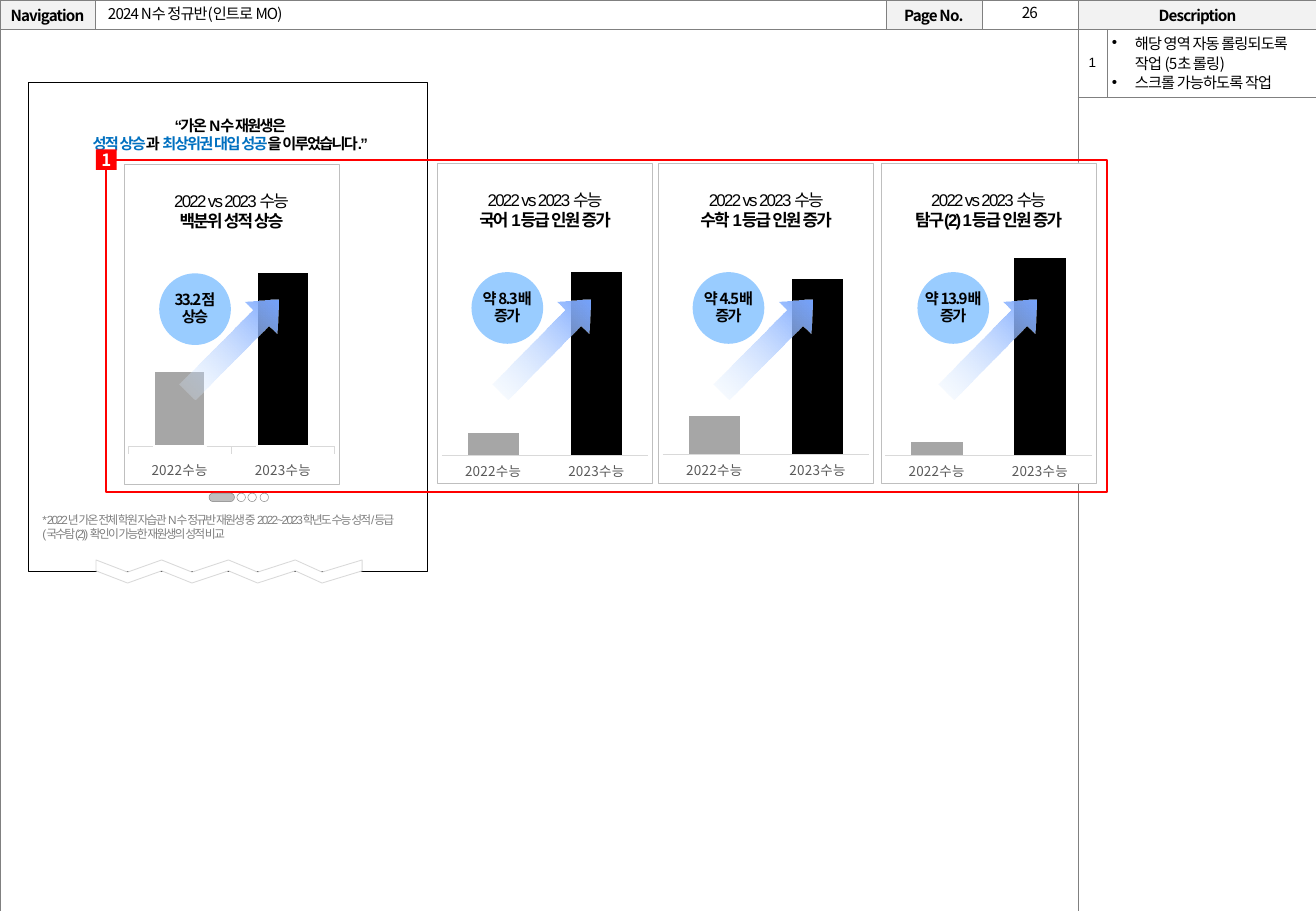
from lxml.etree import SubElement
from pptx import Presentation
from pptx.chart.data import CategoryChartData
from pptx.dml.color import RGBColor
from pptx.enum.chart import XL_CHART_TYPE, XL_TICK_LABEL_POSITION, XL_TICK_MARK
from pptx.enum.shapes import MSO_SHAPE
from pptx.enum.text import MSO_ANCHOR, PP_ALIGN
from pptx.oxml import parse_xml
from pptx.oxml.ns import nsdecls, qn
from pptx.util import Pt

PX = 9144  # 100 px to the inch
NOTO, ARIAL = "Noto Sans CJK KR", "Arial"
BLACK = RGBColor(0, 0, 0)
WHITE = RGBColor(255, 255, 255)
RED = RGBColor(255, 0, 0)
BLUE = RGBColor(0, 0x70, 0xC0)
SKY = RGBColor(0x99, 0xCC, 0xFF)
PALE = RGBColor(0xEB, 0xF7, 0xFF)
AZURE = RGBColor(0x66, 0x99, 0xFF)
GREY = RGBColor(0x80, 0x80, 0x80)
SLATE = RGBColor(0x59, 0x59, 0x59)
ASH = RGBColor(0xA6, 0xA6, 0xA6)
SILVER = RGBColor(0xBF, 0xBF, 0xBF)
MIST = RGBColor(0xD9, 0xD9, 0xD9)
SMOKE = RGBColor(0xF2, 0xF2, 0xF2)

# left, top, second heading line, circle text, circle offset, 2022 value, plot top, plot base
CARDS = [
    (102, 135, "백분위 성적 상승", "33.2점\n상승", 29, 87, 224, 368),
    (360, 134, "국어 1등급 인원 증가", "약 8.3배\n증가", 28, 12, 224, 375),
    (542, 134, "수학 1등급 인원 증가", "약 4.5배\n증가", 28, 22, 230, 374),
    (725, 134, "탐구(2) 1등급 인원 증가", "약 13.9배\n증가", 30, 7, 212, 375),
]


def px(*nums):
    return [round(n * PX) for n in nums]


def paint(run, font, size, color, bold, space):
    run.font.size = Pt(size)
    run.font.bold = bold
    run.font.color.rgb = color
    run.font.name = font
    props = run._r.get_or_add_rPr()
    props.set("spc", str(round(space * 100)))
    SubElement(props, qn("a:ea")).set("typeface", font)


def write(frame, text, font=NOTO, size=9, color=BLACK, bold=False,
          space=-0.5, align=PP_ALIGN.CENTER, pitch=None):
    frame.text = text
    for par in frame.paragraphs:
        par.alignment = align
        if pitch:
            par.line_spacing = pitch
        for run in par.runs:
            paint(run, font, size, color, bold, space)


def inset(item, left, top):
    item.margin_left = item.margin_right = px(left)[0]
    item.margin_top = item.margin_bottom = px(top)[0]


def label(slide, box, text, **look):
    frame = slide.shapes.add_textbox(*px(*box)).text_frame
    frame.word_wrap = True
    write(frame, text, **look)
    return frame


def dress(shape, fill, line, width):
    shape.shadow.inherit = False
    if fill is None:
        shape.fill.background()
    else:
        shape.fill.solid()
        shape.fill.fore_color.rgb = fill
    if line is None:
        shape.line.fill.background()
    else:
        shape.line.color.rgb = line
        shape.line.width = Pt(width)


def draw(slide, kind, box, fill=None, line=None, width=0.25):
    shape = slide.shapes.add_shape(kind, *px(*box))
    dress(shape, fill, line, width)
    return shape


def grid(slide, box, cols, rows):
    table = slide.shapes.add_table(len(rows), len(cols), *px(*box)).table
    table.first_row = table.horz_banding = False
    for col, wide in zip(table.columns, px(*cols)):
        col.width = wide
    for row, high in zip(table.rows, px(*rows)):
        row.height = high
    return table


def rule(cell):
    """Give the cell a thin grey border on all sides."""
    props = cell._tc.get_or_add_tcPr()
    for i, side in enumerate("LRTB"):
        props.insert(i, parse_xml(
            f'<a:ln{side} {nsdecls("a")} w="3175"><a:solidFill>'
            f'<a:srgbClr val="{GREY}"/></a:solidFill></a:ln{side}>'))


def header(slide):
    table = grid(slide, (0, 0, 1084, 751), (78, 651, 79, 79, 197), (24, 727))
    table.cell(1, 0).merge(table.cell(1, 3))
    names = {0: "Navigation", 2: "Page No.", 4: "Description"}
    for i, cell in enumerate(table.iter_cells()):
        cell.fill.solid()
        cell.fill.fore_color.rgb = SMOKE if i in names else WHITE
        rule(cell)
        inset(cell, 0, 0)
        cell.vertical_anchor = MSO_ANCHOR.MIDDLE
        if i in names:
            write(cell.text_frame, names[i], bold=True)
        else:  # small empty text keeps the row low
            SubElement(cell.text_frame.paragraphs[0]._p, qn("a:endParaRPr")).set("sz", "800")
    label(slide, (809, -2, 77, 25), "26")
    title = label(slide, (79, 0, 652, 23), "2024 N수 정규반(인트로 MO)", align=PP_ALIGN.LEFT)
    title.vertical_anchor = MSO_ANCHOR.MIDDLE


def remarks(slide):
    table = grid(slide, (887, 24, 196, 56), (24, 172), (56,))
    mark, note = table.iter_cells()
    for cell in (mark, note):
        cell.fill.background()
        rule(cell)
        inset(cell, 4, 3)
        cell.vertical_anchor = MSO_ANCHOR.MIDDLE
    write(mark.text_frame, "1", font=ARIAL, size=8, space=-1, pitch=0.9)
    write(note.text_frame, "해당 영역 자동 롤링되도록 작업 (5초 롤링)\n스크롤 가능하도록 작업",
          align=PP_ALIGN.LEFT, pitch=0.9)
    for par in note.text_frame.paragraphs:
        props = par._p.get_or_add_pPr()
        props.set("marL", str(19 * PX))
        props.set("indent", str(-19 * PX))
        SubElement(props, qn("a:buFont")).set("typeface", ARIAL)
        SubElement(props, qn("a:buChar")).set("char", "•")


def slogan(slide):
    frame = label(slide, (32, 91, 315, 40), "“가온 N수 재원생은", font=ARIAL, bold=True, space=-1)
    par = frame.add_paragraph()
    par.alignment = PP_ALIGN.CENTER
    for text, color in (("성적 상승", BLUE), ("과 ", BLACK),
                        ("최상위권 대입 성공", BLUE), ("을 이루었습니다.”", BLACK)):
        run = par.add_run()
        run.text = text
        paint(run, ARIAL, 9, color, True, -1)


def graph(slide, left, value, top, base, first):
    data = CategoryChartData()
    data.categories = ["2022수능", "2023수능"]
    data.add_series("Series 1", (value, 100))
    chart = slide.shapes.add_chart(
        XL_CHART_TYPE.COLUMN_CLUSTERED, *px(left, 194, 177, 205), data).chart
    chart.has_legend = chart.has_title = False
    chart.font.size, chart.font.name = Pt(8), NOTO
    chart.font.color.rgb = SLATE
    scale = chart.value_axis
    scale.has_major_gridlines = scale.visible = False
    scale.minimum_scale, scale.maximum_scale = (77 if first else 0), 100
    axis = chart.category_axis
    axis.major_tick_mark = XL_TICK_MARK.OUTSIDE if first else XL_TICK_MARK.NONE
    axis.tick_label_position = XL_TICK_LABEL_POSITION.NEXT_TO_AXIS
    axis.format.line.color.rgb = MIST
    axis.format.line.width = Pt(0.75)
    plot = chart.plots[0]
    plot.gap_width, plot.vary_by_categories = 100, False
    for i, color in enumerate((ASH, BLACK)):
        form = plot.series[0].points[i].format
        form.fill.solid()
        form.fill.fore_color.rgb = color
        if first:
            form.line.color.rgb = WHITE
            form.line.width = Pt(1.5)
    area = chart._chartSpace.chart.plotArea
    for old in area.findall(qn("c:layout")):
        area.remove(old)
    sizes = {"x": 0.02, "y": (top - 194) / 205, "w": 0.96, "h": (base - top) / 205}
    spots = "".join(f'<c:{k} val="{v:.3f}"/>' for k, v in sizes.items())
    area.insert(0, parse_xml(
        f'<c:layout {nsdecls("c")}><c:manualLayout><c:layoutTarget val="inner"/>'
        f'<c:xMode val="edge"/><c:yMode val="edge"/>{spots}</c:manualLayout></c:layout>'))


def arrow(slide, left):
    shape = draw(slide, MSO_SHAPE.RIGHT_ARROW, (left, 266, 106, 37))
    shape.rotation = 314.7
    shape.adjustments[1] = 0.57
    shape.fill.gradient()
    shape.fill.gradient_angle = 0
    for stop, color, place in zip(shape.fill.gradient_stops, (PALE, AZURE), (0, 1)):
        stop.color.rgb = color
        stop.position = place
    tint = shape._element.spPr.find(".//" + qn("a:srgbClr"))
    SubElement(tint, qn("a:alpha")).set("val", "20000")


def card(slide, left, top, head, gain, shift, value, crest, base):
    draw(slide, MSO_SHAPE.RECTANGLE, (left, top, 177, 264), WHITE, SILVER)
    frame = label(slide, (left, top + 17, 177, 44), "2022 vs 2023 수능\n" + head,
                  font=ARIAL, size=10, space=-1)
    frame.paragraphs[1].runs[0].font.bold = True
    graph(slide, left, value, crest, base, left == CARDS[0][0])
    disc = draw(slide, MSO_SHAPE.OVAL, (left + shift, top + 90, 59, 59), SKY)
    disc.text_frame.word_wrap = False
    disc.text_frame.vertical_anchor = MSO_ANCHOR.MIDDLE
    write(disc.text_frame, gain, bold=True, space=-1, pitch=0.92)
    arrow(slide, left + shift + 8)


def tear(slide):
    """Draw the zigzag strip that cuts the phone screen off."""
    turns = (79, 105, 133, 158, 188, 212, 243, 265, 298)
    low = [(x, 480 if i % 2 else 470) for i, x in enumerate(turns)]
    high = [(x, y - 9) for x, y in reversed(low)]
    pen = slide.shapes.build_freeform(*low[0], scale=PX)
    pen.add_line_segments(low[1:] + high, close=True)
    dress(pen.convert_to_shape(), WHITE, MIST, 0.5)


def main():
    deck = Presentation()
    deck.slide_width, deck.slide_height = px(1083, 750)
    slide = deck.slides.add_slide(deck.slide_layouts[6])
    header(slide)
    remarks(slide)
    slogan(slide)
    for item in CARDS:
        card(slide, *item)
    label(slide, (25, 417, 322, 34),
          "* 2022년 가온 전체 학원 자습관 N수 정규반 재원생 중 2022~2023학년도 수능 "
          "성적/등급(국수탐(2)) 확인이 가능한 재원생의 성적 비교",
          font=ARIAL, size=7, color=GREY, space=-1, align=PP_ALIGN.LEFT)
    draw(slide, MSO_SHAPE.RECTANGLE, (23, 68, 329, 402), None, BLACK)
    tear(slide)
    draw(slide, MSO_SHAPE.RECTANGLE, (87, 132, 824, 273), None, RED, 1)
    badge = draw(slide, MSO_SHAPE.RECTANGLE, (79, 123, 17, 17), RED)
    inset(badge.text_frame, 0, 0)
    badge.text_frame.vertical_anchor = MSO_ANCHOR.MIDDLE
    write(badge.text_frame, "1", size=10, color=WHITE, bold=True, space=0)
    draw(slide, MSO_SHAPE.FLOWCHART_TERMINATOR, (172, 406, 21, 7), SILVER, GREY)
    for left in (195, 204, 214):
        draw(slide, MSO_SHAPE.OVAL, (left, 406, 7, 7), WHITE, GREY)
    deck.save("out.pptx")


if __name__ == "__main__":
    main()
